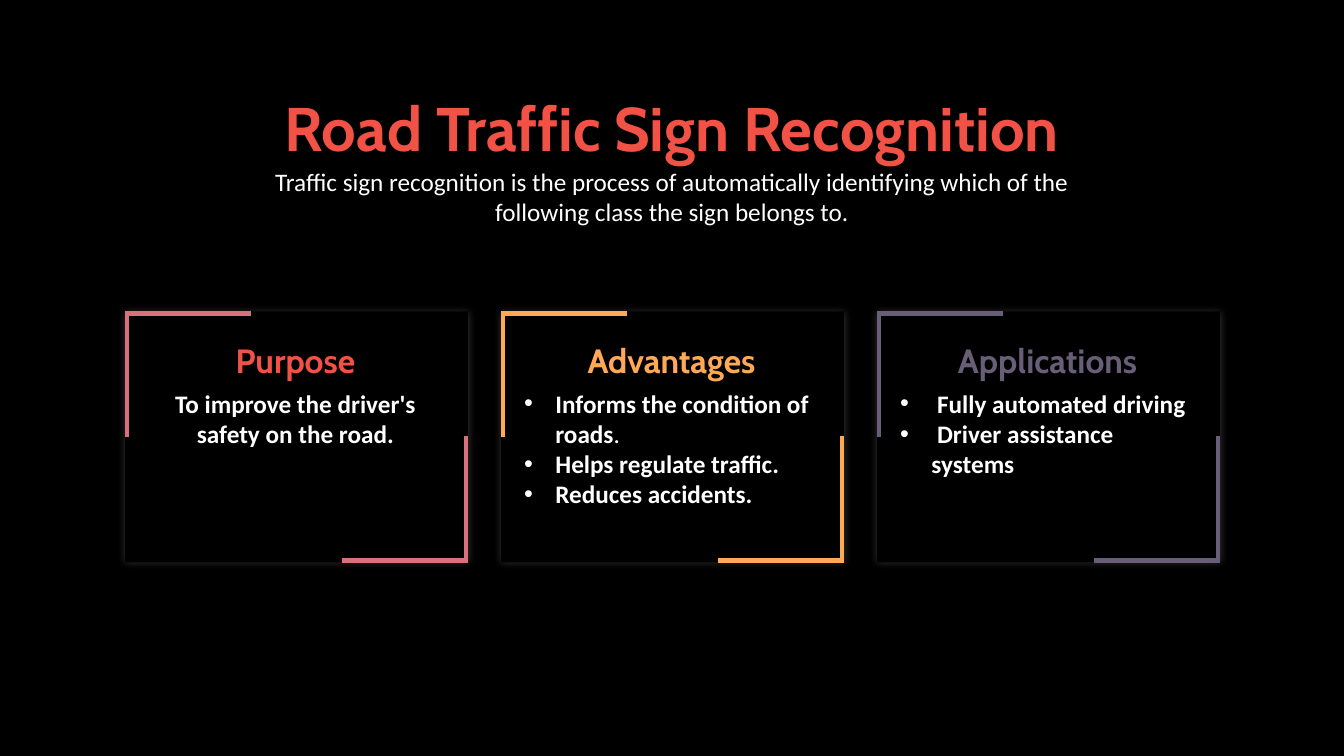
from lxml import etree
from pptx import Presentation
from pptx import util as u
from pptx.dml.color import RGBColor
from pptx.enum import shapes, text
from pptx.oxml import parse_xml
from pptx.oxml.ns import qn

A_NS = "http://schemas.openxmlformats.org/drawingml/2006/main"
CARD_LEFT, CARD_TOP, CARD_W, CARD_H = 1.24, 3.09, 3.4, 2.49
CARD_STEP = 3.73
BRACKET = 1.25  # length of each corner stroke
INSET = 0.02  # half a stroke, keeps the corners inside the card

# heading, heading colour, bracket colour, body height, bulleted, paragraphs of (text, bold) runs
CARDS = [
    ("Purpose", "F25245", "D8717B", 0.71, False,
     [[("To improve the driver's safety on the road.", True)]]),
    ("Advantages", "FFA956", "FFA956", 1.55, True,
     [[("Informs the condition of roads", True), (".", False)],
      [("Helps regulate traffic.", True)],
      [("Reduces accidents.", True)]]),
    ("Applications", "695E78", "695E78", 1.01, True,
     [[(" Fully automated driving", True)],
      [(" Driver assistance systems", True)]]),
]


def rgb(value):
    return RGBColor.from_string(value)


class Deck:
    heading_font, body_font = "Cabin", "Calibri"
    background, foreground, accent = "000000", "FFFFFF", "F25245"

    def __init__(self):
        self.prs = Presentation()
        self.prs.slide_width = u.Inches(13.33)
        self.prs.slide_height = u.Inches(7.5)
        self.s = self.prs.slides.add_slide(self.prs.slide_layouts[6])
        fill = self.s.background.fill
        fill.solid()
        fill.fore_color.rgb = rgb(self.background)

    def panel(self, x, y, w, h):
        """Add a borderless rectangle with a soft glowing shadow."""
        sp = self.s.shapes.add_shape(shapes.MSO_SHAPE.RECTANGLE, *map(u.Inches, (x, y, w, h)))
        sp.fill.solid()
        sp.fill.fore_color.rgb = rgb(self.background)
        sp.line.fill.background()
        sp.shadow.inherit = False
        sp._element.spPr.find(qn("a:effectLst")).append(parse_xml(
            f'<a:outerShdw xmlns:a="{A_NS}" blurRad="{u.Pt(6)}" dist="0" dir="0" algn="ctr" '
            f'rotWithShape="0"><a:srgbClr val="{self.foreground}"><a:alpha val="20000"/>'
            '</a:srgbClr></a:outerShdw>'))

    def line(self, x1, y1, x2, y2, color):
        ln = self.s.shapes.add_connector(
            shapes.MSO_CONNECTOR.STRAIGHT, *map(u.Inches, (x1, y1, x2, y2)))
        ln.line.color.rgb = rgb(color)
        ln.line.width = u.Pt(3)
        etree.SubElement(ln._element.spPr, qn("a:effectLst"))

    def text(self, x, y, w, h, paragraphs, color, bulleted=False, **font):
        """Add a text box; each paragraph is a list of (text, bold) runs."""
        tf = self.s.shapes.add_textbox(*map(u.Inches, (x, y, w, h))).text_frame
        tf.word_wrap = True
        tf.auto_size = text.MSO_AUTO_SIZE.SHAPE_TO_FIT_TEXT
        for i, runs in enumerate(paragraphs):
            p = tf.add_paragraph() if i else tf.paragraphs[0]
            if bulleted:
                self.bullet(p)
            else:
                p.alignment = text.PP_ALIGN.CENTER
            for words, bold in runs:
                r = p.add_run()
                r.text = words
                r.font.color.rgb = rgb(color)
                for name, value in {**font, "bold": bold}.items():
                    setattr(r.font, name, value)

    def bullet(self, p):
        pPr = p._p.get_or_add_pPr()
        indent = u.Inches(0.31)
        pPr.set("marL", str(indent))
        pPr.set("indent", str(-indent))
        etree.SubElement(pPr, qn("a:buFont")).set("typeface", "Arial")
        etree.SubElement(pPr, qn("a:buChar")).set("char", "•")

    def heading(self, x, y, w, h, words, color, size):
        self.text(x, y, w, h, [[(words, True)]], color, name=self.heading_font, size=u.Pt(size))

    def body(self, x, y, w, h, paragraphs, bulleted=False):
        self.text(x, y, w, h, paragraphs, self.foreground, bulleted,
                  name=self.body_font, size=u.Pt(18))

    def brackets(self, x, y, w, h, color):
        """Draw strokes at the top left and bottom right corners."""
        for cx, cy, sign in ((x, y, 1), (x + w, y + h, -1)):
            inset, reach = sign * INSET, sign * BRACKET
            self.line(cx + inset, cy, cx + inset, cy + reach, color)
            self.line(cx, cy + inset, cx + reach, cy + inset, color)

    def card(self, x, title, title_color, bracket_color, body_h, bulleted, paragraphs):
        box = (x, CARD_TOP, CARD_W, CARD_H)
        self.panel(*box)
        self.body(x + 0.13, 3.8, 3.12, body_h, paragraphs, bulleted)
        self.heading(x + 0.22, 3.32, 2.94, 0.5, title, title_color, 24)
        self.brackets(*box, bracket_color)


def main():
    deck = Deck()
    for i, card in enumerate(CARDS):
        deck.card(CARD_LEFT + i * CARD_STEP, *card)
    deck.heading(2.48, 0.84, 8.37, 0.84, "Road Traffic Sign Recognition", deck.accent, 44)
    deck.body(2.41, 1.6, 8.51, 0.71, [[(
        "Traffic sign recognition is the process of automatically identifying "
        "which of the following class the sign belongs to.", False)]])
    deck.prs.save("out.pptx")


if __name__ == "__main__":
    main()
